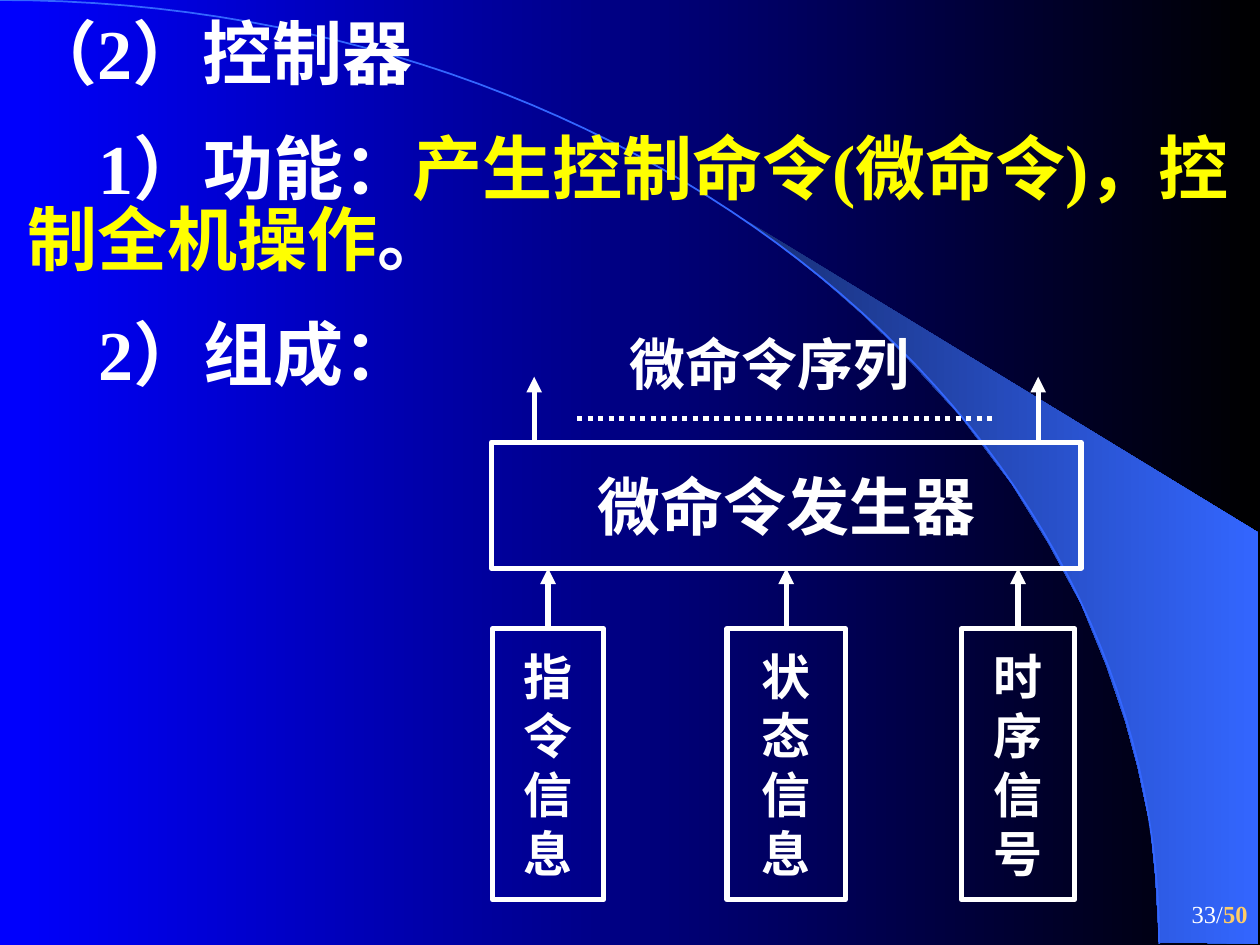
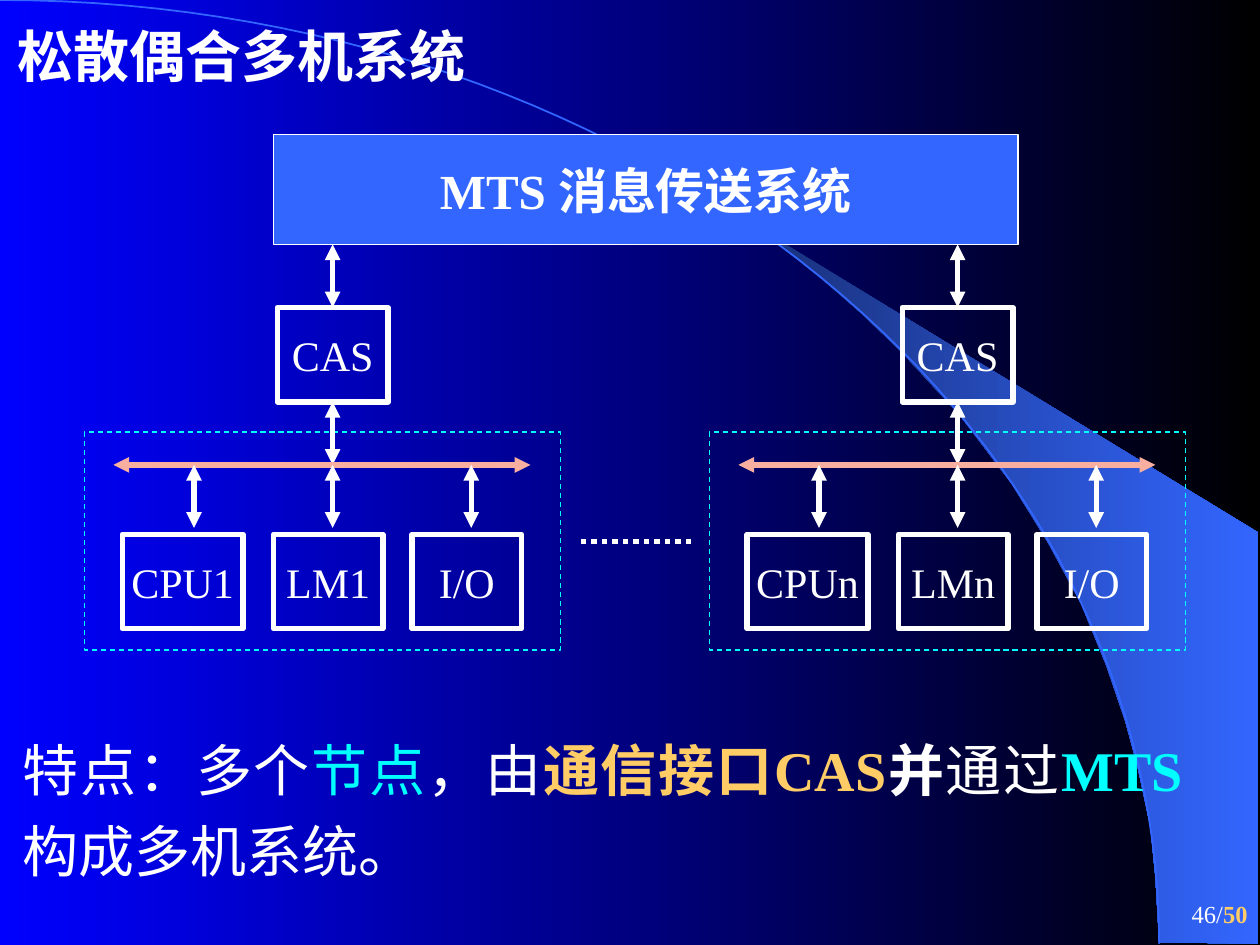
from lxml import etree
from pptx import Presentation
from pptx.dml.color import RGBColor
from pptx.enum.dml import MSO_LINE
from pptx.enum.shapes import MSO_CONNECTOR, MSO_SHAPE
from pptx.enum.text import MSO_ANCHOR, MSO_AUTO_SIZE, PP_ALIGN
from pptx.oxml.ns import qn
from pptx.util import Inches, Pt

CELL = Inches(0.1)
COLUMNS, ROWS = 100, 75
STRAIGHT, RECTANGLE = MSO_CONNECTOR.STRAIGHT, MSO_SHAPE.RECTANGLE
DOTS, DASHES = MSO_LINE.ROUND_DOT, MSO_LINE.DASH
LEFT, CENTER, RIGHT, JUSTIFY = PP_ALIGN.LEFT, PP_ALIGN.CENTER, PP_ALIGN.RIGHT, PP_ALIGN.JUSTIFY
TOP, MIDDLE = MSO_ANCHOR.TOP, MSO_ANCHOR.MIDDLE
TOP_SIDE, BOTTOM_SIDE = 0, 2

FONT = "Times New Roman"
WHITE, YELLOW, GOLD = "FFFFFF", "FFFF00", "FFCC66"
CYAN, PINK, BLUE = "00FFFF", "F8AFA0", "3366FF"
NIGHT, DEEP_BLUE, BLACK = "182F76", "0000FF", "000000"
PAGE_COUNT = 50
BEAM_OUTLINE = [
    (92, 74.8), (99.9, 74.9), (99.9, 42.3), (58.9, 17.3), (62.4, 19.9), (65.3, 22.2),
    (68.5, 25), (71.6, 28), (76.2, 33), (80.3, 38.4), (83.2, 43.1), (85.8, 47.9),
    (87.8, 52.8), (89.3, 57.2), (90.3, 60.9), (91.3, 65.6), (91.7, 69.6),
]


def color(value):
    """Turn a hex string into a colour."""
    return RGBColor.from_string(value)


def cells(*counts):
    """Turn grid counts into lengths."""
    return [round(count * CELL) for count in counts]


def set_all(target, values):
    """Set every attribute named in a dict."""
    for name, value in values.items():
        setattr(target, name, value)


def shade(fill, start, end):
    """Fill with a left-to-right gradient."""
    fill.gradient()
    fill.gradient_angle = 0
    for stop, value, position in zip(fill.gradient_stops, (start, end), (0, 1)):
        stop.color.rgb = color(value)
        stop.position = position


def stroke(line, value, width, dash=None):
    """Give a line its colour, width and dash."""
    line.color.rgb = color(value)
    line.width = Pt(width)
    if dash:
        line.dash_style = dash


def outline(page, points, closed):
    """Draw a freeform through grid points."""
    start, *others = [cells(*point) for point in points]
    builder = page.shapes.build_freeform(*start, scale=1.0)
    builder.add_line_segments(others, close=closed)
    shape = builder.convert_to_shape()
    shape.shadow.inherit = False
    return shape


def arc_points(steps=60):
    """Follow the cubic curve that sweeps across the slide."""
    points = []
    for step in range(steps + 1):
        t = step / steps
        s = 1 - t
        points.append((3 * s * s * t * 50.8 + 3 * s * t * t * 92 + t ** 3 * 92,
                       3 * s * t * t * 33.5 + t ** 3 * 74.9))
    return points


def decorate_master(deck, page):
    """Put the background, beam and arc on the slide master."""
    shade(deck.slide_master.background.fill, DEEP_BLUE, BLACK)
    beam = outline(page, BEAM_OUTLINE, True)
    shade(beam.fill, NIGHT, BLUE)
    beam.line.fill.background()
    arc = outline(page, arc_points(), False)
    arc.fill.background()
    stroke(arc.line, BLUE, 1)
    for position, shape in enumerate((beam, arc), 2):
        deck.slide_master.shapes.element.insert(position, shape.element)


def write(box, paragraphs, size, bold=False, align=LEFT, anchor=TOP, wrap=True,
          spacing=1.0, gap=0, indent=0):
    """Write paragraphs of (text, format) spans into a shape."""
    frame = box.text_frame
    set_all(frame, {"auto_size": MSO_AUTO_SIZE.NONE, "word_wrap": wrap, "vertical_anchor": anchor})
    for index, spans in enumerate(paragraphs):
        para = frame.add_paragraph() if index else frame.paragraphs[0]
        properties = para._p.get_or_add_pPr()
        properties.set("marL", "0")
        properties.set("indent", str(cells(indent)[0]))
        etree.SubElement(properties, qn("a:buNone"))
        set_all(para, {"alignment": align, "line_spacing": spacing,
                       "space_before": Pt(gap if index else 0)})
        for text, changes in spans:
            span = para.add_run()
            span.text = text
            look = {"name": FONT, "size": Pt(size), "bold": bold, **changes}
            span.font.color.rgb = color(look.pop("color", WHITE))
            set_all(span.font, look)


def place(box, left, top, width, height):
    """Move a placeholder to grid cells."""
    set_all(box, dict(zip(("left", "top", "width", "height"), cells(left, top, width, height))))
    return box


def add_text(page, area, paragraphs, size, **style):
    """Add a text box."""
    write(page.shapes.add_textbox(*cells(*area)), paragraphs, size, **style)


def add_box(page, area, lines=(), size=24, bold=False, fill=None, border=(WHITE, 3)):
    """Add a bordered rectangle with centred lines of text."""
    box = page.shapes.add_shape(RECTANGLE, *cells(*area))
    box.shadow.inherit = False
    if fill:
        box.fill.solid()
        box.fill.fore_color.rgb = color(fill)
    else:
        box.fill.background()
    stroke(box.line, *border)
    if lines:
        write(box, [[(line, {})] for line in lines], size, bold=bold, align=CENTER,
              anchor=MIDDLE, wrap=False)
    return box


def add_line(page, start, end, ends=(), value=WHITE, dash=None):
    """Add a straight line with optional arrowheads."""
    line = page.shapes.add_connector(STRAIGHT, *cells(*start, *end))
    stroke(line.line, value, 3, dash)
    properties = line.element.spPr
    for name in ends:
        etree.SubElement(properties.find(qn("a:ln")), qn(f"a:{name}"), type="triangle")
    etree.SubElement(properties, qn("a:effectLst"))
    return line


ONE_WAY = ("tailEnd",)
TWO_WAY = ("headEnd", "tailEnd")


def add_page_number(page, number):
    """Write the page number in the lower right corner."""
    spans = [(f"{number}/", {}), (str(PAGE_COUNT), {"color": GOLD, "bold": True})]
    add_text(page, (COLUMNS - 20.8, ROWS - 5, 20.8, 5), [spans], 14, align=RIGHT, anchor=MIDDLE)


def build_controller(page):
    """Explain the controller and draw the micro-command generator."""
    title, body = page.placeholders
    write(place(title, 1.2, 1.3, 90, 7), [[("（2）控制器", {})]], 40, bold=True, spacing=0.85)
    write(place(body, 1.2, 10.4, COLUMNS, 22),
          [[("1）功能：", {}),
            ("产生控制命令(微命令)，控制全机操作", {"color": YELLOW}),
            ("。", {})],
           [("2）组成：", {})]],
          40, bold=True, spacing=0.85, gap=25, indent=5.6)
    generator = add_box(page, (39, 35.1, 46.8, 10), ["微命令发生器"], 36, True)
    inputs = [("指令信息", 39.1, 8.8), ("状态信息", 57.7, 9.4), ("时序信号", 76.3, 9)]
    for index, (label, left, width) in enumerate(inputs):
        source = add_box(page, (left, 49.9, width, 21.5), label, 28, True)
        middle = left + width / 2
        arrow = add_line(page, (middle, 49.9), (middle, 45.1), ONE_WAY)
        arrow.begin_connect(source, TOP_SIDE)
        if index == 1:
            arrow.end_connect(generator, BOTTOM_SIDE)
    for column in (42.4, 82.4):
        add_line(page, (column, 34.9), (column, 29.9), ONE_WAY)
    add_line(page, (45.8, 33.2), (79.1, 33.2), dash=DOTS)
    add_text(page, (49, 25.7, 26.4, 6.4), [[("微命令序列", {})]], 32, bold=True)


def add_node(page, left, suffix):
    """Draw one computer node with its bus and interface."""
    add_box(page, (left, 34.3, 37.8, 17.3), border=(CYAN, 0.75, DASHES))
    center = left + 19.7
    interface = add_box(page, (center - 4.4, 24.4, 8.8, 7.5), ["CAS"])
    upper = add_line(page, (center, 19.4), (center, 24.4), TWO_WAY)
    upper.end_connect(interface, TOP_SIDE)
    lower = add_line(page, (center, 31.9), (center, 36.9), TWO_WAY)
    lower.begin_connect(interface, BOTTOM_SIDE)
    add_line(page, (left + 2.3, 36.9), (left + 35.4, 36.9), TWO_WAY, PINK)
    units = [(f"CPU{suffix}", 3, 9.6), (f"LM{suffix}", 15, 8.7), ("I/O", 26, 8.7)]
    for index, (label, offset, width) in enumerate(units):
        add_box(page, (left + offset, 42.4, width, 7.5), [label])
        column = center + (index - 1) * 11
        add_line(page, (column, 36.9), (column, 41.9), TWO_WAY)


def build_loose_coupling(page):
    """Draw the loosely coupled system and describe it."""
    title, body = page.placeholders
    write(place(title, 0.4, 1.2, 60, 6.4), [[("松散偶合多机系统", {})]], 32, bold=True)
    add_box(page, (21.7, 10.7, 59.1, 8.7), ["MTS 消息传送系统"], 28, True, BLUE, (WHITE, 0.75))
    for left, suffix in ((6.7, "1"), (56.3, "n")):
        add_node(page, left, suffix)
    add_line(page, (46.1, 43), (55.2, 43), dash=DOTS)
    write(place(body, 0.8, 56.8, 94.1, 13.8),
          [[("特点：多个", {}), ("节点", {"color": CYAN}), ("，由", {}),
            ("通信接口CAS", {"color": GOLD, "bold": True}), ("并", {"bold": True}),
            ("通过", {}), ("MTS", {"color": CYAN, "bold": True}), ("构成多机系统。", {})]],
          32, align=JUSTIFY, spacing=1.2)


def main():
    """Build and save the deck."""
    deck = Presentation()
    deck.slide_width, deck.slide_height = cells(COLUMNS, ROWS)
    builders = [(33, build_controller), (46, build_loose_coupling)]
    for index, (number, build) in enumerate(builders):
        page = deck.slides.add_slide(deck.slide_layouts[1])
        if index == 0:
            decorate_master(deck, page)
        build(page)
        add_page_number(page, number)
    deck.save("out.pptx")


if __name__ == "__main__":
    main()
